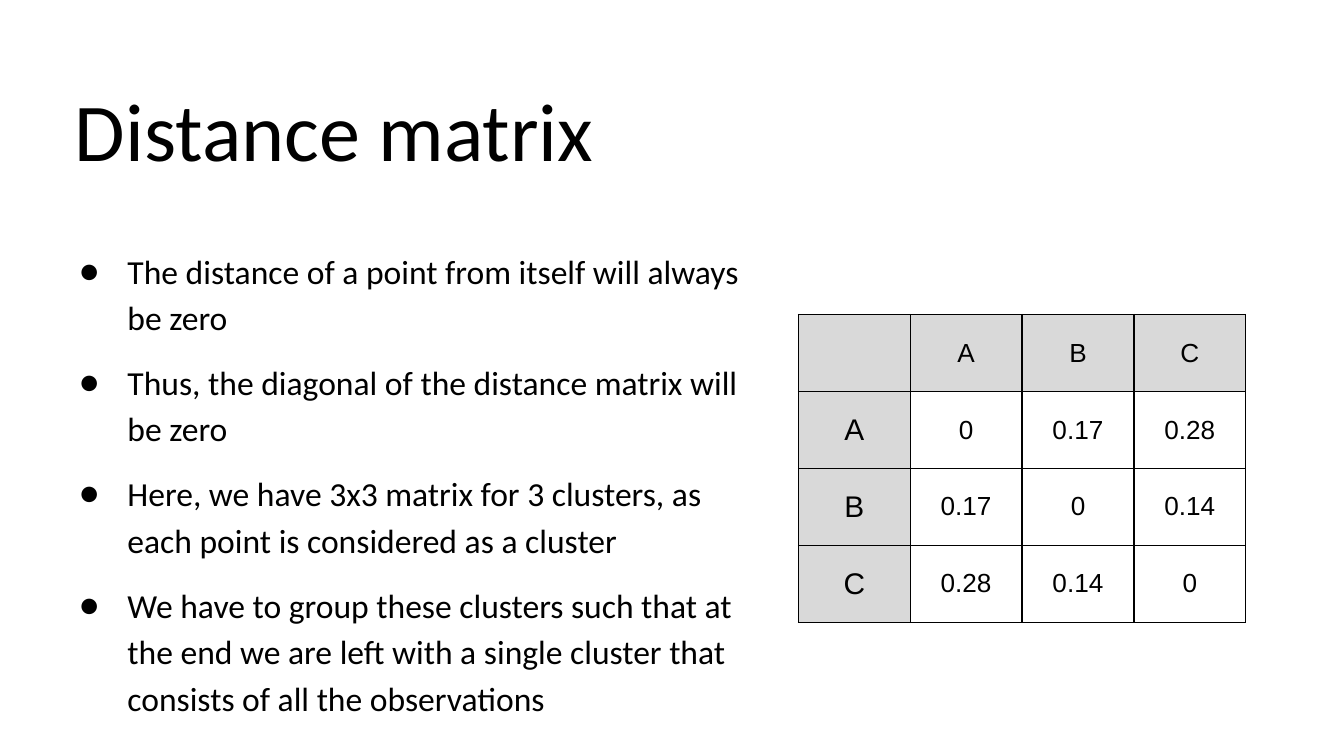
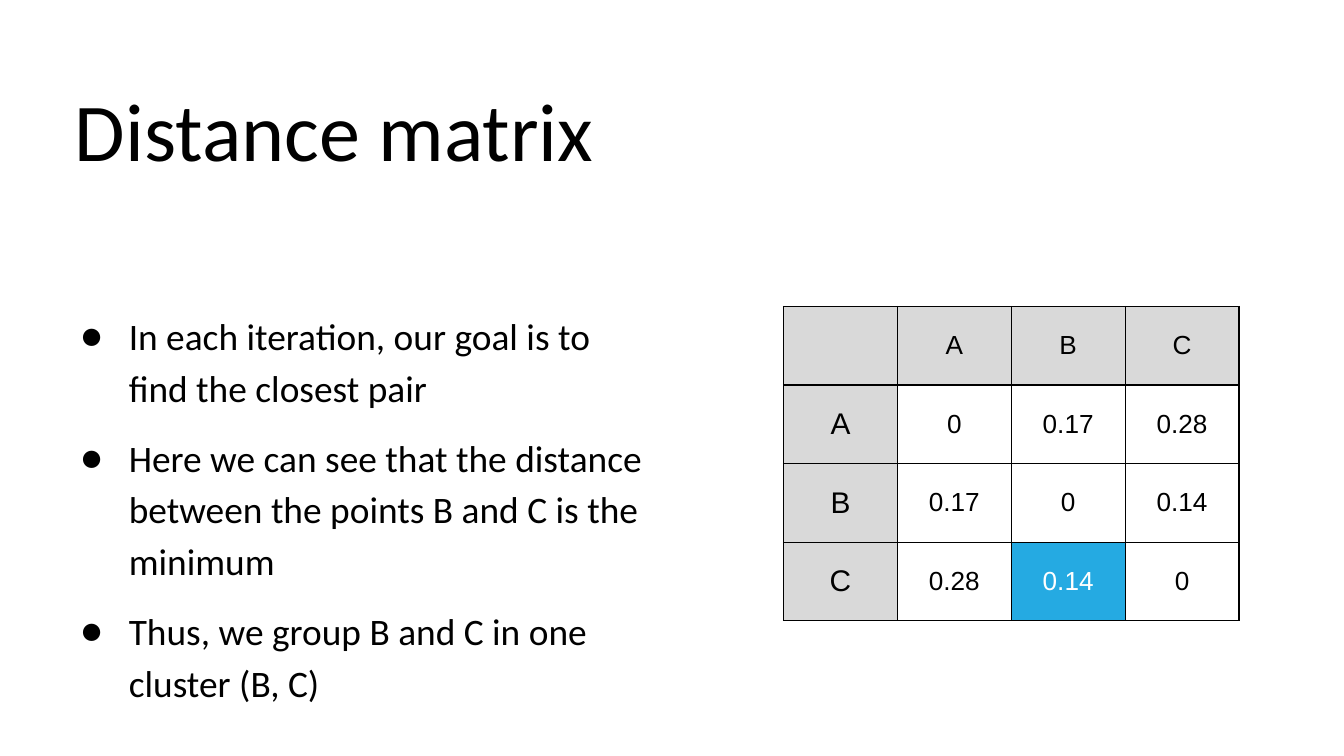
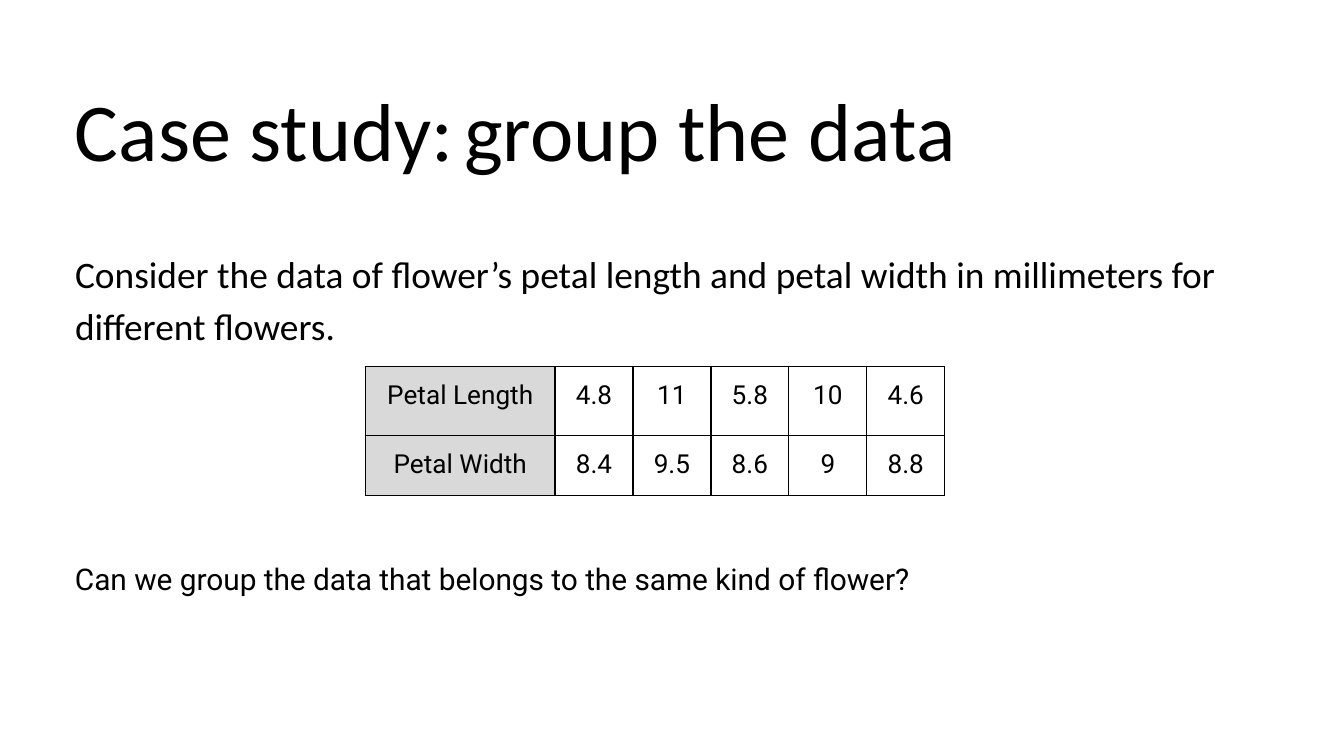
from dataclasses import dataclass

from lxml import etree
from pptx import Presentation
from pptx import util as u
from pptx.dml.color import RGBColor
from pptx.enum import text
from pptx.oxml.ns import qn

BLACK, WHITE, GREY, BLUE = "000000", "FFFFFF", "D9D9D9", "25AAE2"
BODY_FONT = "Calibri"
INSET = u.Inches(0.1)
BORDER = u.Pt(0.75)
TITLE_SIZE = 44


@dataclass(frozen=True)
class Run:
    words: str
    size: float
    font: str = BODY_FONT
    color: str = BLACK


@dataclass(frozen=True)
class Box:
    left: float
    top: float
    width: float
    height: float

    def lengths(self):
        return [u.Inches(v) for v in (self.left, self.top, self.width, self.height)]


@dataclass(frozen=True)
class Grid:
    left: float
    top: float
    columns: list[float]
    rows: list[float]
    cells: list[list[str]]
    font: str = "Arial"
    label_size: float = 16
    header_row: bool = True
    anchor: text.MSO_ANCHOR = text.MSO_ANCHOR.MIDDLE
    highlight: tuple[int, int] | None = None


def rgb(color: str) -> RGBColor:
    return RGBColor.from_string(color)


def add_run(paragraph, run: Run) -> None:
    part = paragraph.add_run()
    part.text = run.words
    part.font.size = u.Pt(run.size)
    part.font.name = run.font
    part.font.color.rgb = rgb(run.color)


def add_frame(slide, box: Box):
    frame = slide.shapes.add_textbox(*box.lengths()).text_frame
    frame.word_wrap = True
    frame.margin_left = frame.margin_right = INSET
    frame.margin_top = frame.margin_bottom = INSET
    return frame


def add_title(slide, runs: list[Run], width: float = 7.37) -> None:
    paragraph = add_frame(slide, Box(0.46, 0.49, width, 0.63)).paragraphs[0]
    for run in runs:
        add_run(paragraph, run)


def add_statement(slide, box: Box, run: Run) -> None:
    paragraph = add_frame(slide, box).paragraphs[0]
    paragraph.line_spacing = 1.15
    paragraph.space_after = u.Pt(16)
    add_run(paragraph, run)


def add_bullet_mark(paragraph, size: int) -> None:
    properties = paragraph._p.get_or_add_pPr()
    properties.set("marL", str(u.Inches(0.5)))
    properties.set("indent", str(u.Inches(-0.36)))
    etree.SubElement(properties, qn("a:buSzPts"), val=str(size * 100))
    etree.SubElement(properties, qn("a:buFont"), typeface=BODY_FONT)
    etree.SubElement(properties, qn("a:buChar"), char="●")


def add_bullets(slide, box: Box, points: list[str], size: int,
                space_below: float = 0) -> None:
    frame = add_frame(slide, box)
    for index, point in enumerate(points):
        paragraph = frame.add_paragraph() if index else frame.paragraphs[0]
        add_bullet_mark(paragraph, size)
        paragraph.line_spacing = 1.15
        if index:
            paragraph.space_before = u.Pt(10)
        add_run(paragraph, Run(point, size))
    paragraph.space_after = u.Pt(space_below)


def add_borders(cell) -> None:
    properties = cell._tc.get_or_add_tcPr()
    for side in ("lnL", "lnR", "lnT", "lnB"):
        line = etree.SubElement(properties, qn(f"a:{side}"), w=str(BORDER))
        fill = etree.SubElement(line, qn("a:solidFill"))
        etree.SubElement(fill, qn("a:srgbClr"), val=BLACK)


def fill_cell(cell, color: str | None) -> None:
    if color:
        cell.fill.solid()
        cell.fill.fore_color.rgb = rgb(color)
    else:
        cell.fill.background()


def add_grid(slide, grid: Grid) -> None:
    box = Box(grid.left, grid.top, sum(grid.columns), sum(grid.rows))
    table = slide.shapes.add_table(
        len(grid.rows), len(grid.columns), *box.lengths()).table
    table.first_row = table.horz_banding = False
    for column, width in zip(table.columns, grid.columns):
        column.width = u.Inches(width)
    for row, height in zip(table.rows, grid.rows):
        row.height = u.Inches(height)

    for r, values in enumerate(grid.cells):
        for c, value in enumerate(values):
            cell = table.cell(r, c)
            cell.margin_left = cell.margin_right = INSET
            cell.margin_top = cell.margin_bottom = INSET
            cell.vertical_anchor = grid.anchor
            add_borders(cell)
            highlighted = (r, c) == grid.highlight
            is_label = c == 0 or (grid.header_row and r == 0)
            fill_cell(cell, BLUE if highlighted else GREY if is_label else None)
            if value:
                paragraph = cell.text_frame.paragraphs[0]
                paragraph.alignment = text.PP_ALIGN.CENTER
                add_run(paragraph, Run(value, grid.label_size if c == 0 else 14,
                                       grid.font, WHITE if highlighted else BLACK))


DISTANCES = [
    ["", "A", "B", "C"],
    ["A", "0", "0.17", "0.28"],
    ["B", "0.17", "0", "0.14"],
    ["C", "0.28", "0.14", "0"],
]
PETALS = [
    ["Petal Length", "4.8", "11", "5.8", "10", "4.6"],
    ["Petal Width", "8.4", "9.5", "8.6", "9", "8.8"],
]


def build_zero_diagonal(slide) -> None:
    add_title(slide, [Run("Distance matrix", TITLE_SIZE)])
    add_bullets(slide, Box(0.35, 1.72, 5.29, 3.63), [
        "The distance of a point from itself will always be zero",
        "Thus, the diagonal of the distance matrix will be zero",
        "Here, we have 3x3 matrix for 3 clusters, as each point is considered as a cluster",
        "We have to group these clusters such that at the end we are left with a "
        "single cluster that consists of all the observations",
    ], 18, space_below=10)
    add_grid(slide, Grid(5.94, 2.34, [3.33 / 4] * 4, [2.29 / 4] * 4, DISTANCES))


def build_closest_pair(slide) -> None:
    add_title(slide, [Run("Distance matrix", TITLE_SIZE)])
    add_bullets(slide, Box(0.36, 2.18, 4.58, 2.55), [
        "In each iteration, our goal is to find the closest pair",
        "Here we can see that the distance between the points B and C is the minimum",
        "Thus, we group B and C in one cluster (B, C)",
    ], 20)
    add_grid(slide, Grid(5.83, 2.28, [3.39 / 4] * 4, [2.34 / 4] * 4, DISTANCES,
                         highlight=(3, 2)))


def build_case_study(slide) -> None:
    add_title(slide, [Run("Case study:", TITLE_SIZE), Run(" ", 24),
                      Run("group the data", TITLE_SIZE)], width=8.83)
    add_statement(slide, Box(0.46, 1.72, 9.19, 0.75), Run(
        "Consider the data of flower’s petal length and petal width in "
        "millimeters for different flowers.", 20))
    add_statement(slide, Box(0.46, 4.03, 6.84, 0.52), Run(
        "Can we group the data that belongs to the same kind of flower?", 16, "Roboto"))
    add_grid(slide, Grid(2.72, 2.73, [1.41] + [0.58] * 5, [0.51, 0.45], PETALS,
                         font="Roboto", label_size=14, header_row=False,
                         anchor=text.MSO_ANCHOR.TOP))


def main() -> None:
    deck = Presentation()
    deck.slide_width = u.Inches(10)
    deck.slide_height = deck.slide_width * 9 // 16
    blank = deck.slide_layouts[6]
    for build in (build_zero_diagonal, build_closest_pair, build_case_study):
        build(deck.slides.add_slide(blank))
    deck.save("out.pptx")


if __name__ == "__main__":
    main()
